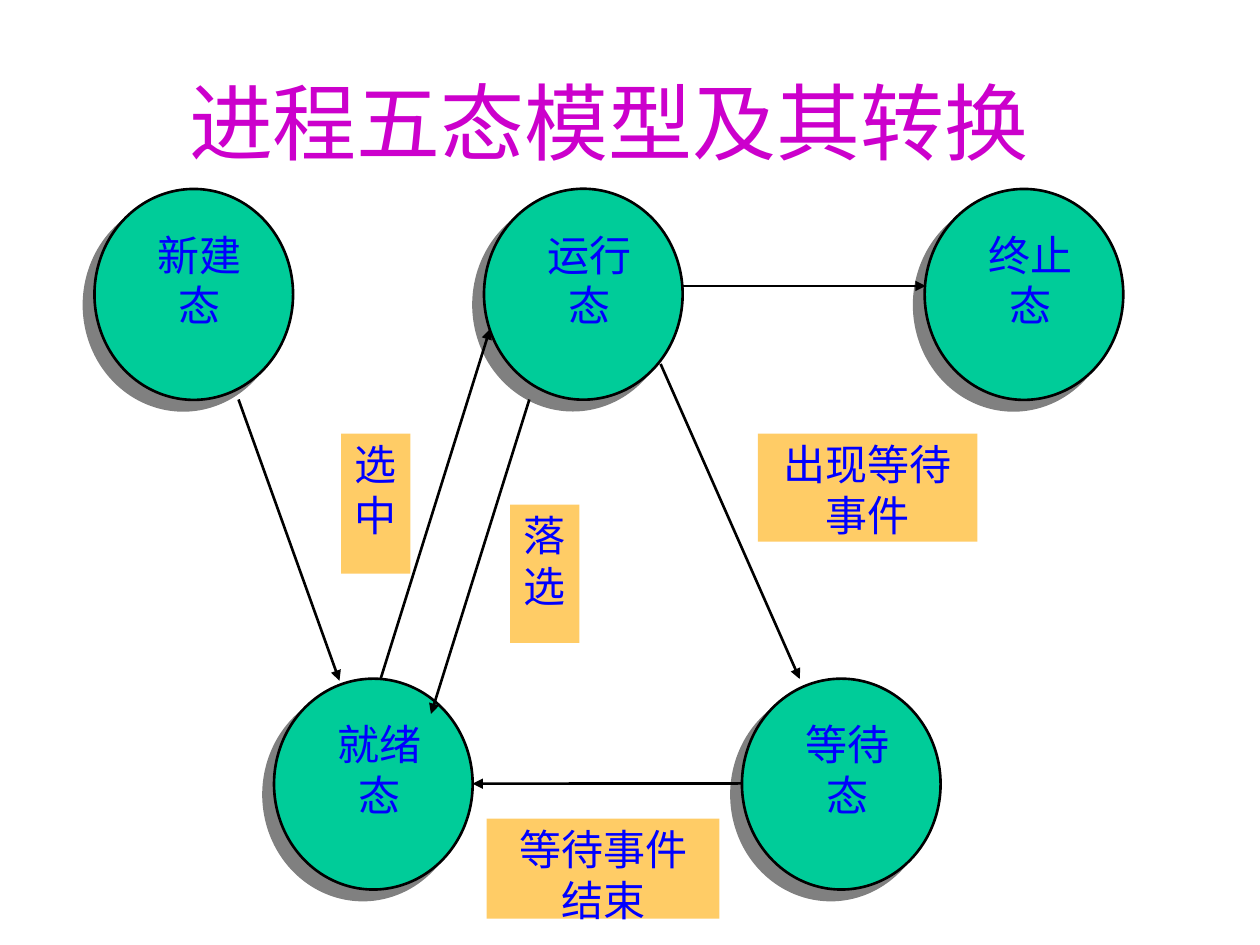
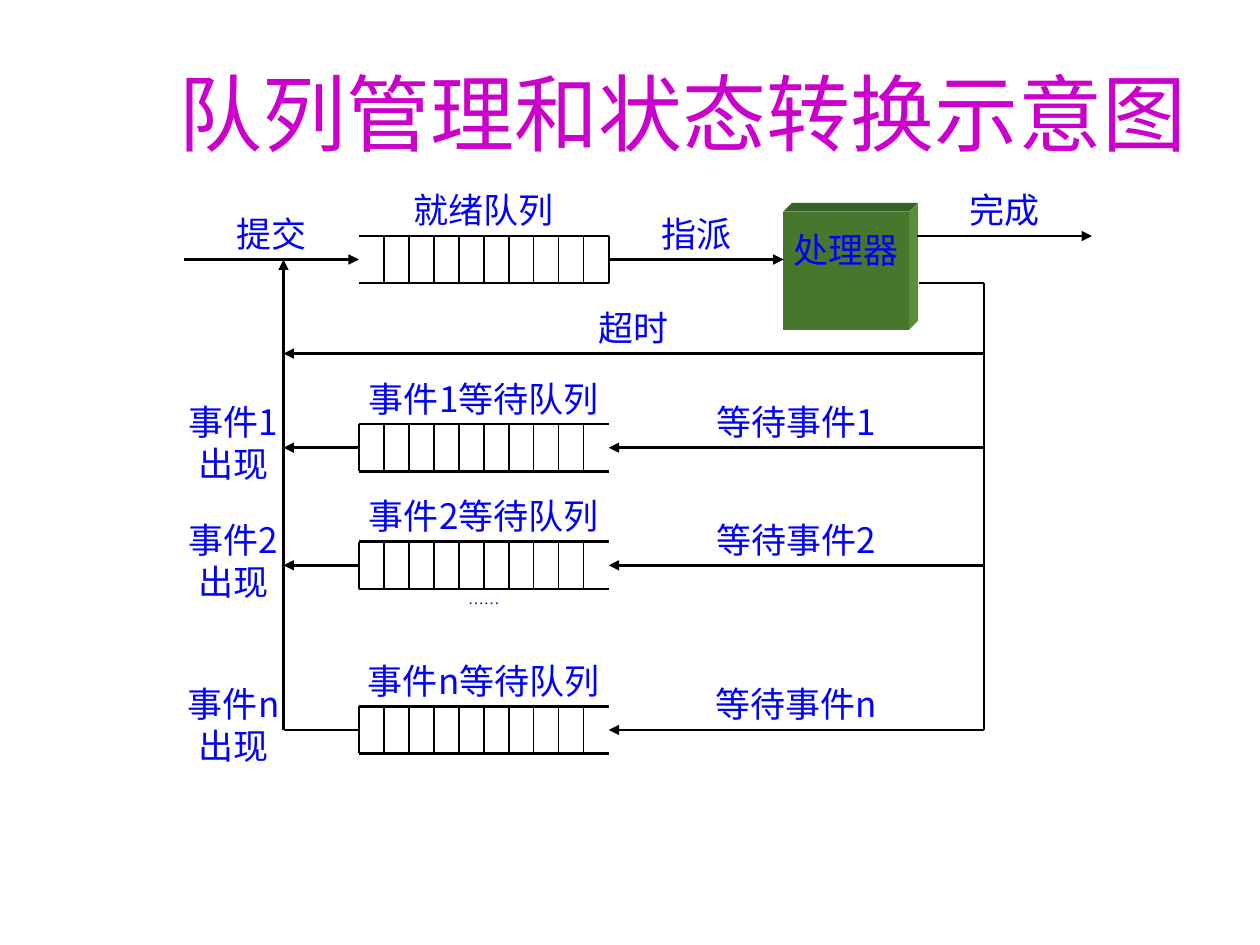
"""Build two slides on process states and their scheduling queues."""
from pptx import Presentation
from pptx.dml.color import RGBColor
from pptx.enum.shapes import MSO_CONNECTOR as Connector, MSO_SHAPE as Shape
from pptx.enum.text import MSO_ANCHOR as Anchor, MSO_AUTO_SIZE as AutoSize, PP_ALIGN as Align
from pptx.oxml.ns import qn
from pptx.oxml.xmlchemy import OxmlElement
from pptx.util import Pt

FONT = "Noto Sans CJK JP"
BLACK = RGBColor(0x00, 0x00, 0x00)
BLUE = RGBColor(0x00, 0x00, 0xFF)
MAGENTA = RGBColor(0xCC, 0x00, 0xCC)
STATE_GREEN = RGBColor(0x00, 0xCC, 0x99)
CAPTION_ORANGE = RGBColor(0xFF, 0xCC, 0x66)
CUBE_FRONT = RGBColor(0x47, 0x76, 0x2D)
CUBE_TOP = RGBColor(0x3A, 0x61, 0x25)
CUBE_SIDE = RGBColor(0x59, 0x8F, 0x3A)

DIAGRAM_TOP, ROW_STEP = 108, 13.44
LABEL_HEIGHT = QUEUE_HEIGHT = 2 * ROW_STEP
QUEUE_LEFT, QUEUE_RIGHT, QUEUE_CELLS = 205.1, 347.9, 10
BUS_LEFT, BUS_RIGHT = 162, 562.3


def add_xml(parent, tag, **attributes):
    """Append an XML element with the given attributes and return it."""
    child = OxmlElement(tag)
    for key, value in attributes.items():
        child.set(key, str(value))
    parent.append(child)
    return child


def write_text(frame, text, size, color=BLUE, font=FONT):
    """Fill a text frame with centred paragraphs, one per line of text."""
    frame.word_wrap = True
    frame.auto_size = AutoSize.NONE
    frame.text = text
    for paragraph in frame.paragraphs:
        paragraph.alignment = Align.CENTER
        paragraph.font.size = Pt(size)
        paragraph.font.color.rgb = color
        paragraph.font.name = font
        properties = paragraph._p.get_or_add_pPr().find(qn("a:defRPr"))
        add_xml(properties, "a:ea", typeface=font)


def set_insets(frame, top=0):
    """Remove the insets of a text frame except the top one."""
    frame.margin_left = frame.margin_right = frame.margin_bottom = 0
    frame.margin_top = Pt(top)
    frame.vertical_anchor = Anchor.TOP


def add_titled_slide(deck, heading, left, top):
    """Add a slide with its title placed and formatted."""
    slide = deck.slides.add_slide(deck.slide_layouts[5])
    title = slide.shapes.title
    title.left, title.top, title.width, title.height = map(Pt, (left, top, 612, 90))
    write_text(title.text_frame, heading, 48, MAGENTA)
    title.text_frame.vertical_anchor = Anchor.MIDDLE
    return slide


def add_line(slide, start, end, arrow=False, width=1.5):
    """Draw a straight black line, with an arrowhead at its end on request."""
    line = slide.shapes.add_connector(Connector.STRAIGHT, *map(Pt, start + end))
    line.line.color.rgb = BLACK
    line.line.width = Pt(width)
    add_xml(line._element.spPr, "a:effectLst")
    if arrow:
        add_xml(line.line._get_or_add_ln(), "a:tailEnd", type="triangle")


def add_panel(slide, text, box, fill, size=24, top_inset=3):
    """Add a filled rectangle with text at its top."""
    panel = slide.shapes.add_shape(Shape.RECTANGLE, *map(Pt, box))
    panel.shadow.inherit = False
    panel.fill.solid()
    panel.fill.fore_color.rgb = fill
    panel.line.fill.background()
    set_insets(panel.text_frame, top_inset)
    write_text(panel.text_frame, text, size)


def add_state(slide, name, left, top):
    """Add a shadowed circle naming one process state."""
    circle = slide.shapes.add_shape(Shape.OVAL, Pt(left), Pt(top), Pt(113.5), Pt(120.5))
    circle.shadow.inherit = False
    circle.fill.solid()
    circle.fill.fore_color.rgb = STATE_GREEN
    circle.line.color.rgb = BLACK
    circle.line.width = Pt(1.5)
    effects = circle._element.spPr.find(qn("a:effectLst"))
    shadow = add_xml(effects, "a:outerShdw", dist=Pt(8.5), dir=135 * 60000,
                     algn="ctr", rotWithShape=0)
    add_xml(shadow, "a:srgbClr", val="808080")
    add_panel(slide, name, (left + 26, top + 20, 68.4, 80), STATE_GREEN)


def add_label(slide, text, left, top, width, height=LABEL_HEIGHT, size=20, font=FONT):
    """Add a plain centred label."""
    label = slide.shapes.add_textbox(*map(Pt, (left, top, width, height)))
    set_insets(label.text_frame)
    write_text(label.text_frame, text, size, font=font)


def row_y(row):
    """Return the height of a row on the queue diagram."""
    return DIAGRAM_TOP + row * ROW_STEP


def add_queue(slide, name, middle, closed_at):
    """Draw a queue of cells closed at one end, with its name above."""
    top, bottom = middle - QUEUE_HEIGHT / 2, middle + QUEUE_HEIGHT / 2
    for edge in (top, bottom):
        add_line(slide, (QUEUE_LEFT, edge), (QUEUE_RIGHT, edge))
    add_line(slide, (closed_at, top), (closed_at, bottom))
    cell = (QUEUE_RIGHT - QUEUE_LEFT) / QUEUE_CELLS
    for number in range(1, QUEUE_CELLS):
        x = QUEUE_LEFT + number * cell
        add_line(slide, (x, top), (x, bottom), width=0.75)
    add_label(slide, name, QUEUE_LEFT, top - LABEL_HEIGHT, QUEUE_RIGHT - QUEUE_LEFT)


def add_face(slide, corners, fill):
    """Draw one slanted face of the processor block."""
    points = [tuple(map(Pt, corner)) for corner in corners]
    builder = slide.shapes.build_freeform(*points[0])
    builder.add_line_segments(points[1:], close=True)
    face = builder.convert_to_shape()
    face.shadow.inherit = False
    face.fill.solid()
    face.fill.fore_color.rgb = fill
    face.line.fill.background()


def add_processor(slide):
    """Draw the processor as a block with depth."""
    left, top, right, bottom, depth = 447.5, 121, 519.5, 188.5, 5
    back_top, back_right = top - depth, right + depth
    add_face(slide, [(left, top), (left + depth, back_top),
                     (back_right, back_top), (right, top)], CUBE_TOP)
    add_face(slide, [(right, top), (back_right, back_top),
                     (back_right, bottom - depth), (right, bottom)], CUBE_SIDE)
    add_panel(slide, "处理器", (left, top, right - left, bottom - top),
              CUBE_FRONT, size=20, top_inset=9.5)


def build_state_model(deck):
    """Build the five-state model slide."""
    slide = add_titled_slide(deck, "进程五态模型及其转换", 42, 24)
    for name, left, top in [("新建态", 54, 108), ("运行态", 276.6, 107.9),
                            ("终止态", 528.4, 108), ("就绪态", 156.6, 387.8),
                            ("等待态", 424, 387.8)]:
        add_state(slide, name, left, top)
    for start, end in [((136.3, 228.3), (194, 389)), ((217.5, 388), (280, 188)),
                       ((302.5, 228.3), (246.3, 408)), ((377.5, 208), (457, 388)),
                       ((390, 163.4), (529, 163.4)), ((423.5, 447.7), (270, 447.8))]:
        add_line(slide, start, end, arrow=True)
    for text, box in [("选中", (195, 247.8, 39.6, 80)),
                      ("落选", (291.5, 288.4, 39.6, 79)),
                      ("出现等待\n事件", (433.1, 247.8, 125.4, 61.8)),
                      ("等待事件\n结束", (278.1, 467.8, 133, 57.2))]:
        add_panel(slide, text, box, CAPTION_ORANGE)


def build_queue_diagram(deck):
    """Build the queue management slide."""
    slide = add_titled_slide(deck, "队列管理和状态转换示意图", 84, 19)
    finish, ready, leave, timeout = map(row_y, (2, 3, 4, 7))
    add_queue(slide, "就绪队列", ready, QUEUE_RIGHT)
    add_processor(slide)
    for text, start, y, end in [("提交", 105, ready, QUEUE_LEFT),
                                ("指派", QUEUE_RIGHT, ready, 447.8),
                                ("完成", 524, finish, 624)]:
        add_line(slide, (start, y), (end, y), arrow=True)
        add_label(slide, text, (start + end) / 2 - 30, y - LABEL_HEIGHT, 60)
    add_line(slide, (525.3, leave), (BUS_RIGHT, leave))
    add_line(slide, (BUS_RIGHT, timeout), (BUS_LEFT, timeout), arrow=True)
    add_label(slide, "超时", 242, timeout - LABEL_HEIGHT, 240)

    events = [("1", row_y(11)), ("2", row_y(16)), ("n", row_y(23))]
    last = events[-1][1]
    for event, y in events:
        add_queue(slide, f"事件{event}等待队列", y, QUEUE_LEFT)
        add_line(slide, (BUS_RIGHT, y), (QUEUE_RIGHT, y), arrow=True)
        add_label(slide, f"等待事件{event}", 390.6, y - LABEL_HEIGHT, 129)
        add_line(slide, (QUEUE_LEFT, y), (BUS_LEFT, y), arrow=y != last)
        add_label(slide, f"事件{event}\n出现", 104.5, y - LABEL_HEIGHT, 58, 54)
    add_label(slide, "……", QUEUE_LEFT, row_y(17), QUEUE_RIGHT - QUEUE_LEFT,
              size=9, font="Times New Roman")
    add_line(slide, (BUS_RIGHT, leave), (BUS_RIGHT, last))
    add_line(slide, (BUS_LEFT, last), (BUS_LEFT, ready), arrow=True)


def main():
    """Create and save the presentation."""
    deck = Presentation()
    deck.slide_width, deck.slide_height = Pt(720), Pt(540)
    build_state_model(deck)
    build_queue_diagram(deck)
    deck.save("out.pptx")


if __name__ == "__main__":
    main()
